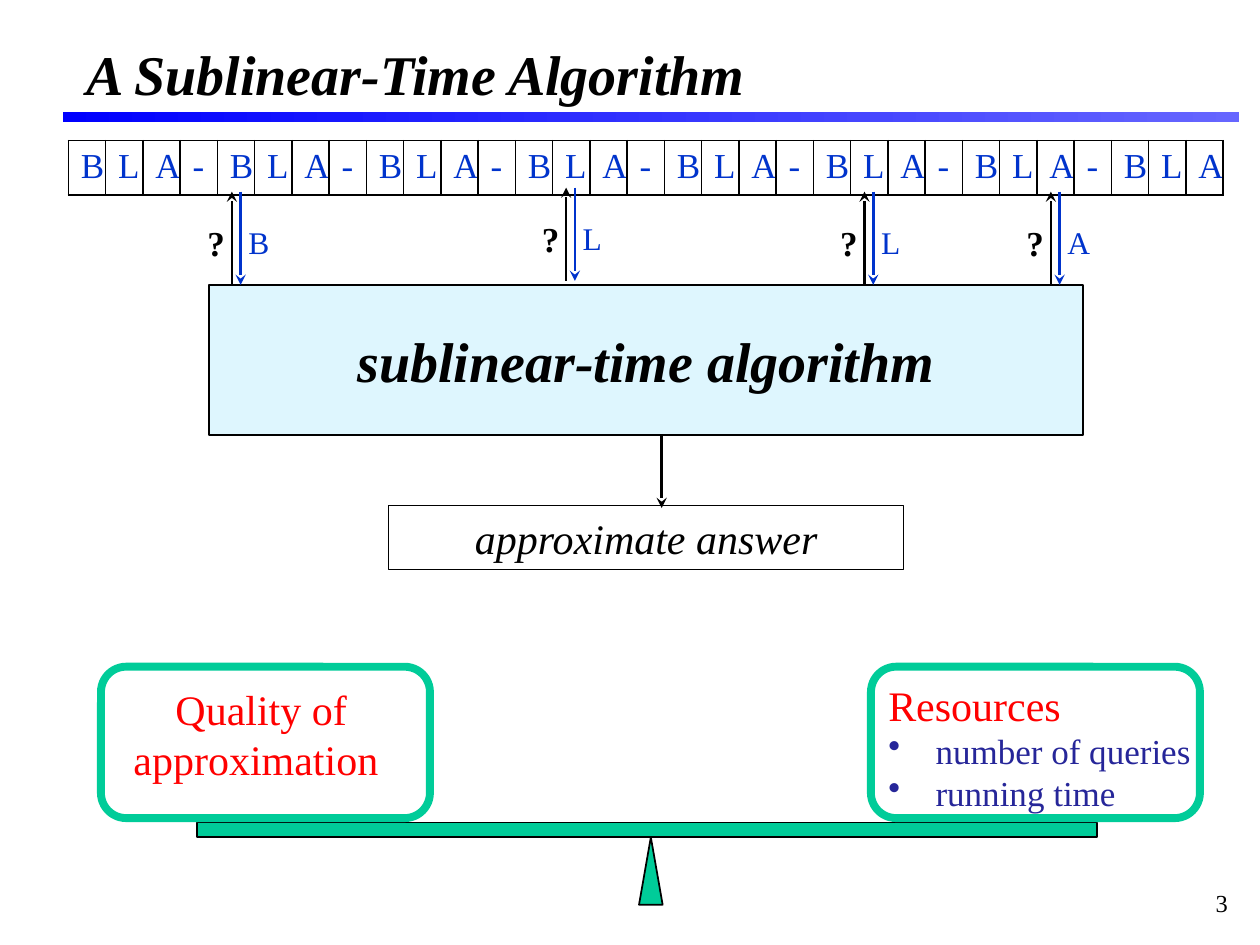
from dataclasses import dataclass

import pptx
import pptx.dml.color
import pptx.enum.dml
import pptx.enum.shapes
import pptx.enum.text
import pptx.oxml
import pptx.oxml.ns
import pptx.util
from lxml import etree

Pt = pptx.util.Pt
Shape = pptx.enum.shapes.MSO_SHAPE
Align = pptx.enum.text.PP_ALIGN
Anchor = pptx.enum.text.MSO_ANCHOR
qn = pptx.oxml.ns.qn


@dataclass(frozen=True)
class Theme:
    font: str = "Times New Roman"
    black: str = "000000"
    white: str = "FFFFFF"
    blue: str = "0033CC"
    navy: str = "262699"
    red: str = "FF0000"
    green: str = "00CC99"
    pale: str = "DEF6FE"
    bar_start: str = "0000FF"
    bar_end: str = "6666FF"
    heading: int = 32
    label: int = 24
    body: int = 20
    reply: int = 18
    number: int = 14


THEME = Theme()


def rgb(value):
    return pptx.dml.color.RGBColor.from_string(value)


def style(para, size, color, bold=False, italic=False, align=Align.LEFT):
    para.alignment = align
    font = para.font
    font.name, font.size = THEME.font, Pt(size)
    font.bold, font.italic = bold, italic
    font.color.rgb = rgb(color)


def add_text(page, text, left, top, width, height, size, color, **look):
    box = page.shapes.add_textbox(Pt(left), Pt(top), Pt(width), Pt(height))
    box.text_frame.word_wrap = True
    para = box.text_frame.paragraphs[0]
    para.text = text
    style(para, size, color, **look)
    return box


def add_block(page, kind, left, top, width, height, fill=None, line=None, weight=1):
    block = page.shapes.add_shape(kind, Pt(left), Pt(top), Pt(width), Pt(height))
    block.shadow.inherit = False
    if fill:
        block.fill.solid()
        block.fill.fore_color.rgb = rgb(fill)
    else:
        block.fill.background()
    if line:
        block.line.color.rgb = rgb(line)
        block.line.width = Pt(weight)
    else:
        block.line.fill.background()
    return block


def add_caption(block, text, size, bold=False):
    frame = block.text_frame
    frame.word_wrap = True
    frame.vertical_anchor = Anchor.MIDDLE
    frame.text = text
    style(frame.paragraphs[0], size, THEME.black, bold, True, Align.CENTER)


def add_arrow(page, x, start, end, color):
    """Draw a vertical arrow with its head at the end."""
    arrow = page.shapes.add_connector(
        pptx.enum.shapes.MSO_CONNECTOR.STRAIGHT, Pt(x), Pt(start), Pt(x), Pt(end))
    arrow.line.color.rgb = rgb(color)
    arrow.line.width = Pt(1.5)
    etree.SubElement(arrow.line._get_or_add_ln(), qn("a:tailEnd"), type="stealth")
    etree.SubElement(arrow._element.spPr, qn("a:effectLst"))


def set_indent(para, margin, first, bullet=None):
    props = para._p.get_or_add_pPr()
    props.set("marL", str(Pt(margin)))
    props.set("indent", str(Pt(first)))
    if bullet:
        etree.SubElement(props, qn("a:buChar"), char=bullet)


def add_heading(page, left, top, width, height):
    bar = add_block(page, Shape.RECTANGLE, left, top + 58.5, width, 5.5)
    bar.fill.gradient()
    bar.fill.gradient_angle = 0
    for stop, color in zip(bar.fill.gradient_stops, (THEME.bar_start, THEME.bar_end)):
        stop.color.rgb = rgb(color)
    title = page.shapes.title
    title.left, title.top = Pt(left + 6), Pt(top)
    title.width, title.height = Pt(612), Pt(height)
    title.text_frame.text = "A Sublinear-Time Algorithm"
    title.text_frame.vertical_anchor = Anchor.MIDDLE
    style(title.text_frame.paragraphs[0], THEME.heading, THEME.black, True, True)


def add_border(cell):
    props = cell._tc.get_or_add_tcPr()
    for index, side in enumerate(("lnL", "lnR", "lnT", "lnB")):
        edge = etree.Element(qn(f"a:{side}"), w=str(Pt(1)))
        fill = etree.SubElement(edge, qn("a:solidFill"))
        etree.SubElement(fill, qn("a:srgbClr"), val=THEME.black)
        props.insert(index, edge)


def add_input(page, text, left, top, width, height):
    """Show the input as a one-row table with a letter in each cell."""
    table = page.shapes.add_table(
        1, len(text), Pt(left), Pt(top), Pt(width), Pt(height)).table
    table.first_row = table.horz_banding = False
    for column, cell, letter in zip(table.columns, table.rows[0].cells, text):
        column.width = Pt(width / len(text))
        cell.text = letter
        cell.fill.background()
        add_border(cell)
        style(cell.text_frame.paragraphs[0], THEME.body, THEME.blue)


def add_query(page, answer, left, top, height):
    """Draw a question going up and its answer coming down."""
    add_arrow(page, left + 21, top + height, top, THEME.black)
    add_text(page, "?", left, top + 13.7, 22.5, 31.5, THEME.body, THEME.black, bold=True)
    add_arrow(page, left + 26, top, top + height, THEME.blue)
    add_text(page, answer, left + 23.4, top + 14.3, 22.5, 29, THEME.reply, THEME.blue)


def add_algorithm(page, left, top, width, height):
    answer = add_block(page, Shape.RECTANGLE, left + 102.5, top + 126, 294.5, 36.5,
                       line=THEME.black, weight=0.75)
    add_caption(answer, "approximate answer", THEME.label)
    algorithm = add_block(page, Shape.RECTANGLE, left, top, width, height,
                          THEME.pale, THEME.black)
    add_caption(algorithm, "sublinear-time algorithm", THEME.heading, True)
    for x, rise, letter in ((-8, 0, "B"), (183, 2.3, "L"), (353.5, 0, "L"), (460, 0, "A")):
        add_query(page, letter, left + x, top - 53.3 - rise, 53.3)
    add_arrow(page, left + 258.6, top + height, top + 127.5, THEME.black)


def add_balance(page, left, top, width, height):
    """Weigh quality against resources on a beam."""
    pan_width, pan_height = 188, 86.5
    add_block(page, Shape.ISOSCELES_TRIANGLE, left + 307.5, top + height - 38.5, 13.5, 38.5,
              THEME.green, THEME.black)
    add_block(page, Shape.RECTANGLE, left + 55, top + 89, 514, 8.3, THEME.green, THEME.black)
    right = left + width - pan_width
    for x in (left, right):
        add_block(page, Shape.ROUNDED_RECTANGLE, x, top, pan_width, pan_height,
                  THEME.white, THEME.green, 4.5)

    quality = add_text(page, "Quality of approximation", left + 11.5, top + 5.8, 172.8, 90,
                       THEME.label, THEME.red)
    set_indent(quality.text_frame.paragraphs[0], 0, 24)

    resources = add_text(page, "Resources", right + 2.8, top + 3.5, 198.7, 85,
                         THEME.label, THEME.red)
    for item in ("number of queries", "running time"):
        para = resources.text_frame.add_paragraph()
        para.text = item
        set_indent(para, 27, -27, "•")
        style(para, THEME.body, THEME.navy)


def add_page_number(page, left, top, width, height):
    box = add_text(page, "3", left, top, width, height, THEME.number, THEME.black,
                   align=Align.RIGHT)
    box.text_frame.vertical_anchor = Anchor.MIDDLE


def main():
    deck = pptx.Presentation()
    deck.slide_width, deck.slide_height = Pt(720), Pt(540)
    page = deck.slides.add_slide(deck.slide_layouts[5])
    add_heading(page, 36, 5.8, 672, 72)
    add_page_number(page, 558.7, 498, 150, 36)
    add_input(page, "-".join(["BLA"] * 8), 39, 80.3, 660, 29.5)
    add_algorithm(page, 119.5, 162.8, 499.5, 86)
    add_balance(page, 57.7, 381, 628, 136)
    deck.save("out.pptx")


if __name__ == "__main__":
    main()
